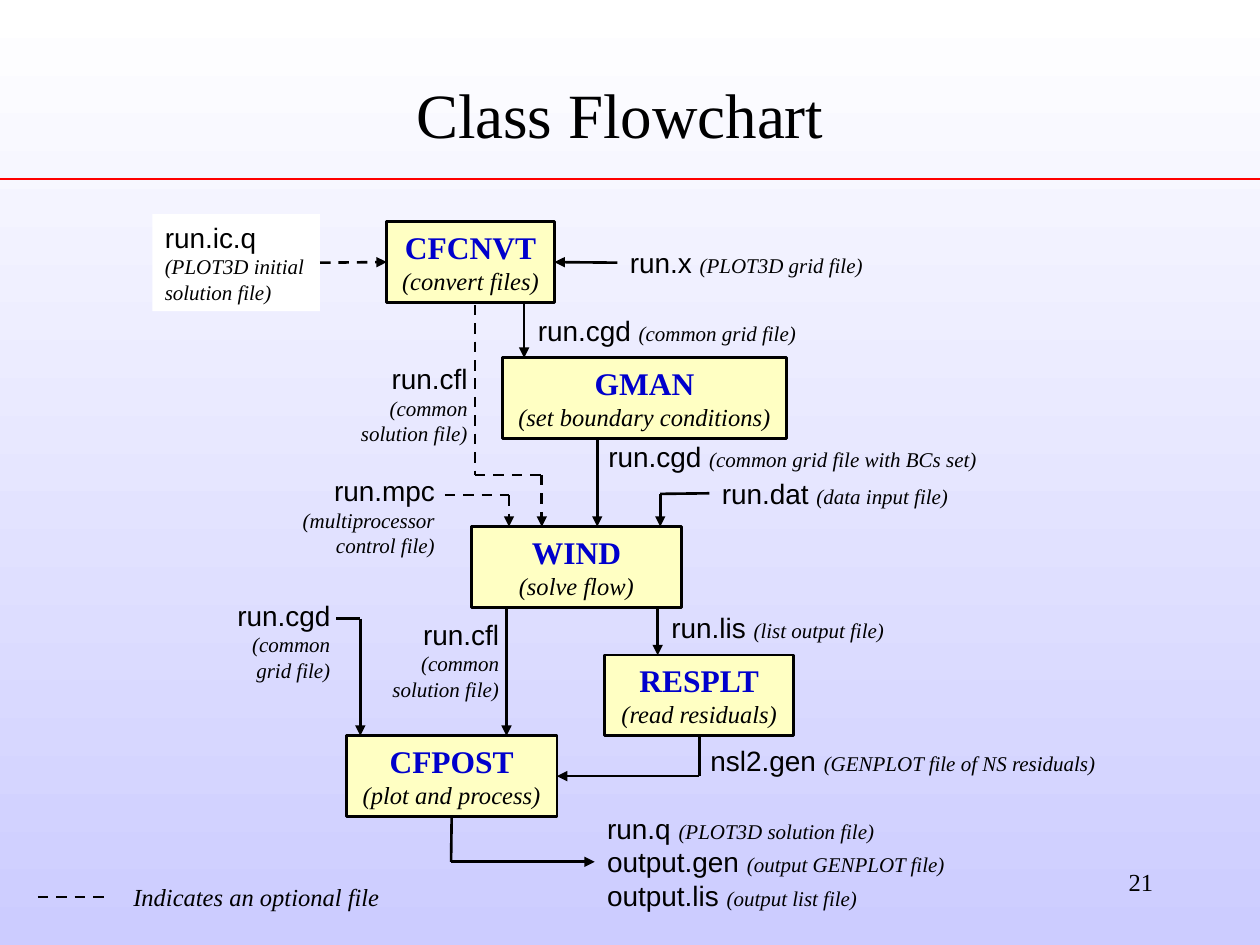
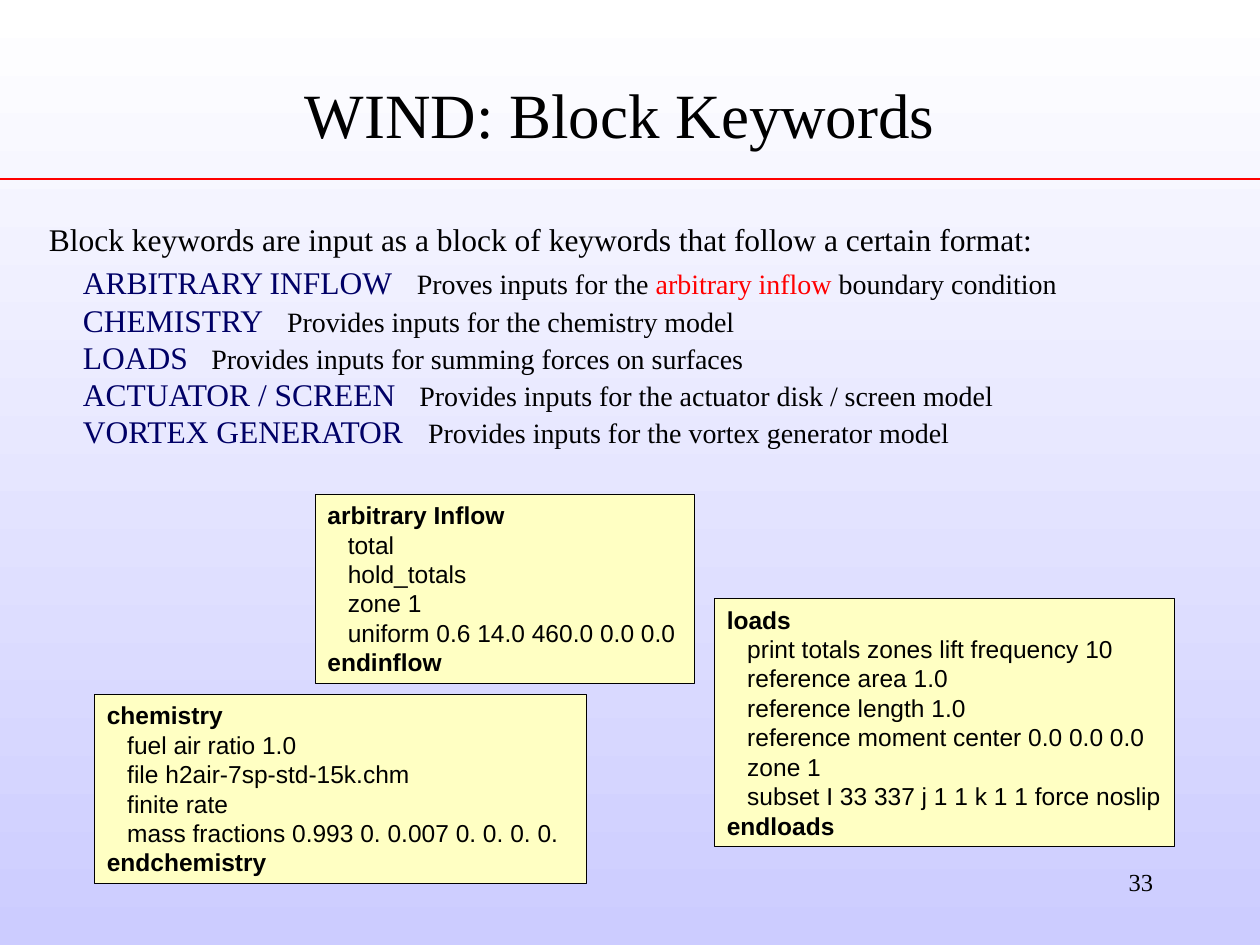
from pptx import Presentation
from pptx.dml.color import RGBColor as RGB
from pptx.enum.dml import MSO_LINE_DASH_STYLE as Dash
from pptx.enum.shapes import MSO_CONNECTOR as Conn, MSO_SHAPE as Shape
from pptx.enum.text import MSO_ANCHOR as Anchor, PP_ALIGN as Align
from pptx.oxml.ns import qn
from pptx.oxml.xmlchemy import OxmlElement as Tag
from pptx.util import Inches, Pt

SERIF, SANS = "Times New Roman", "Arial"
BLACK, WHITE, RED = "000000", "FFFFFF", "FF0000"
BLUE, NAVY, CREAM, LILAC = "0000CC", "000066", "FFFFC3", "CCCCFF"
TOP, LEFT, BOTTOM, RIGHT = range(4)


def color(code):
    """Turn a hex string into a colour."""
    return RGB.from_string(code)


def style(item, size, face=SERIF, tint=BLACK, bold=False, slant=False):
    """Format the font of a run or paragraph."""
    font = item.font
    font.name, font.size = face, Pt(size)
    font.bold, font.italic = bold, slant
    font.color.rgb = color(tint)


def add_run(para, text, *look, **more):
    """Append one formatted run to a paragraph."""
    run = para.add_run()
    run.text = text
    style(run, *look, **more)


def add_text(slide, area, lines, align=Align.LEFT):
    """Add a wrapping text box with one plain paragraph per line."""
    box = slide.shapes.add_textbox(*map(Inches, area))
    fill_text(box, lines, align)
    return box


def fill_text(box, lines, align):
    """Fill a shape with aligned paragraphs."""
    frame = box.text_frame
    frame.word_wrap = True
    frame.vertical_anchor = Anchor.TOP
    frame.text = "\n".join(lines)
    for para in frame.paragraphs:
        para.alignment = align


def add_box(slide, area, lines, align, weight):
    """Add a cream rectangle with a black outline."""
    box = slide.shapes.add_shape(Shape.RECTANGLE, *map(Inches, area))
    box.shadow.inherit = False
    box.fill.solid()
    box.fill.fore_color.rgb = color(CREAM)
    box.line.color.rgb = color(BLACK)
    box.line.width = Pt(weight)
    fill_text(box, lines, align)
    return box


def add_step(slide, area, name, note):
    """Add a program of the flowchart."""
    box = add_box(slide, area, [name, note], Align.CENTER, 1.5)
    head, foot = box.text_frame.paragraphs
    style(head.runs[0], 18, tint=BLUE, bold=True)
    style(foot.runs[0], 14, slant=True)
    return box


def add_label(slide, area, files, align=Align.LEFT):
    """Add file names, each with a note in italics."""
    box = add_text(slide, area, [name + " " for name, _ in files], align)
    for para, (_, note) in zip(box.text_frame.paragraphs, files):
        style(para.runs[0], 16, SANS)
        add_run(para, note, 12, slant=True)
    return box


def add_code(slide, area, code):
    """Add a code listing whose first and last lines are bold."""
    box = add_box(slide, area, code, Align.LEFT, 0.25)
    paras = box.text_frame.paragraphs
    for i, para in enumerate(paras):
        style(para.runs[0], 14, SANS, bold=i in (0, len(paras) - 1))


def find_spot(stop):
    """Give the place of a point or of a (shape, side) pair."""
    if isinstance(stop[0], (int, float)):
        return tuple(map(Inches, stop))
    box, side = stop
    x = {LEFT: 0, RIGHT: box.width}.get(side, box.width // 2)
    y = {TOP: 0, BOTTOM: box.height}.get(side, box.height // 2)
    return box.left + x, box.top + y


def add_line(slide, start, end, tint=BLACK, dash=False, arrow=False):
    """Draw one straight line, joined to shapes where given."""
    ends = find_spot(start) + find_spot(end)
    line = slide.shapes.add_connector(Conn.STRAIGHT, *ends)
    for stop, join in ((start, line.begin_connect), (end, line.end_connect)):
        if not isinstance(stop[0], (int, float)):
            join(*stop)
    line.line.color.rgb = color(tint)
    line.line.width = Pt(1.5)
    if dash:
        line.line.dash_style = Dash.DASH
    props = line.element.spPr
    if arrow:
        tip = Tag("a:tailEnd")
        tip.set("type", "triangle")
        props.find(qn("a:ln")).append(tip)
    props.append(Tag("a:effectLst"))


def add_route(slide, *stops, dash=False):
    """Draw a chain of lines with an arrow at its end."""
    last = len(stops) - 2
    for i, (start, end) in enumerate(zip(stops, stops[1:])):
        add_line(slide, start, end, dash=dash, arrow=i == last)


def add_slide(deck, title, number):
    """Add a slide with its title, red rule and number."""
    slide = deck.slides.add_slide(deck.slide_layouts[5])
    add_line(slide, (0, 1.42), (10, 1.42), RED)
    head = slide.shapes.title
    head.left, head.top, head.width, head.height = map(
        Inches, (0.67, 0.5, 8.5, 0.75))
    fill_text(head, [title], Align.CENTER)
    head.text_frame.vertical_anchor = Anchor.BOTTOM
    style(head.text_frame.paragraphs[0].runs[0], 36)
    foot = add_text(slide, (7.17, 6.83, 2.08, 0.5), [number], Align.RIGHT)
    style(foot.text_frame.paragraphs[0].runs[0], 14)
    return slide


def set_back(deck):
    """Give the master a white to lilac gradient."""
    fill = deck.slide_master.background.fill
    fill.gradient()
    fill.gradient_angle = 270
    for stop, tint in zip(fill.gradient_stops, (WHITE, LILAC)):
        stop.color.rgb = color(tint)


def draw_flow(deck):
    """Build the flowchart slide."""
    slide = add_slide(deck, "Class Flowchart", "21")
    steps = [
        (3.07, 1.76, 1.33, "CFCNVT", "(convert files)"),
        (3.99, 2.84, 2.25, "GMAN", "(set boundary conditions)"),
        (3.74, 4.18, 1.67, "WIND", "(solve flow)"),
        (4.8, 5.2, 1.5, "RESPLT", "(read residuals)"),
        (2.75, 5.84, 1.67, "CFPOST", "(plot and process)"),
    ]
    step = {name: add_step(slide, (x, y, w, 0.64), name, note)
            for x, y, w, name, note in steps}

    first = add_label(slide, (1.21, 1.7, 1.33, 0.77),
                      [("run.ic.q", "(PLOT3D initial solution file)")])
    first.fill.solid()
    first.fill.fore_color.rgb = color(WHITE)
    wide = [
        (4.9, 1.9, 2.17, "run.x", "(PLOT3D grid file)"),
        (4.17, 2.44, 2.42, "run.cgd", "(common grid file)"),
        (4.73, 3.44, 3.5, "run.cgd", "(common grid file with BCs set)"),
        (5.63, 3.73, 2.42, "run.dat", "(data input file)"),
        (5.23, 4.8, 2, "run.lis", "(list output file)"),
        (5.54, 5.85, 3.33, "nsl2.gen", "(GENPLOT file of NS residuals)"),
    ]
    grid, _, _, data, _, _ = [
        add_label(slide, (x, y, w, 0.37), [(name, note)])
        for x, y, w, name, note in wide]
    tall = [
        (2.66, 2.82, 1.15, "run.cfl", "(common solution file)"),
        (2.26, 3.71, 1.29, "run.mpc", "(multiprocessor control file)"),
        (1.63, 4.7, 1.09, "run.cgd", "(common grid file)"),
        (2.91, 4.85, 1.15, "run.cfl", "(common solution file)"),
    ]
    for x, y, w, name, note in tall:
        add_label(slide, (x, y, w, 0.77), [(name, note)], Align.RIGHT)
    output = add_label(slide, (4.72, 6.39, 3.9, 0.9), [
        ("run.q", "(PLOT3D solution file)"),
        ("output.gen", "(output GENPLOT file)"),
        ("output.lis", "(output list file)")])

    conv, read, post = step["CFCNVT"], step["RESPLT"], step["CFPOST"]
    add_route(slide, (first, RIGHT), (conv, LEFT), dash=True)
    add_route(slide, (grid, LEFT), (conv, RIGHT))
    add_route(slide, (4.16, 2.4), (4.16, 2.84))
    add_route(slide, (3.77, 2.42), (3.77, 3.77), (4.3, 3.77), (4.3, 4.18),
              dash=True)
    add_route(slide, (3.53, 3.93), (4.04, 3.93), (4.04, 4.18), dash=True)
    add_route(slide, (4.74, 3.48), (4.74, 4.18))
    add_route(slide, (data, LEFT), (5.24, 3.92), (5.24, 4.18))
    add_route(slide, (5.22, 4.82), (5.22, 5.2))
    add_route(slide, (4.02, 4.82), (4.02, 5.84))
    add_route(slide, (2.67, 4.91), (2.86, 4.91), (2.86, 5.84))
    add_route(slide, (read, BOTTOM), (5.55, 6.16), (post, RIGHT))
    add_route(slide, (post, BOTTOM), (3.58, 6.84), (output, LEFT))

    add_line(slide, (0.3, 7.12), (0.88, 7.12), dash=True)
    key = add_text(slide, (0.96, 6.95, 2.16, 0.34),
                   ["Indicates an optional file"])
    style(key.text_frame.paragraphs[0].runs[0], 14, slant=True)


def set_tab(para, place):
    """Give a paragraph one left tab stop."""
    tabs, tab = Tag("a:tabLst"), Tag("a:tab")
    tab.set("pos", str(Inches(place)))
    tab.set("algn", "l")
    tabs.append(tab)
    para._p.get_or_add_pPr().append(tabs)


def draw_words(deck):
    """Build the block keyword slide."""
    slide = add_slide(deck, "WIND: Block Keywords", "33")
    intro = add_text(slide, (0.29, 1.7, 8.48, 0.6), [
        "Block keywords are input as a block of keywords "
        "that follow a certain format:"])
    style(intro.text_frame.paragraphs[0].runs[0], 18)

    words = [
        ("ARBITRARY INFLOW", 2.65, [("Proves inputs for the ", BLACK),
                                    ("arbitrary inflow", RED),
                                    (" boundary condition", BLACK)]),
        ("CHEMISTRY", 1.62,
         [("Provides inputs for the chemistry model", BLACK)]),
        ("LOADS", 1.02,
         [("Provides inputs for summing forces on surfaces", BLACK)]),
        ("ACTUATOR / SCREEN", 2.67,
         [("Provides inputs for the actuator disk / screen model", BLACK)]),
        ("VORTEX GENERATOR", 2.74,
         [("Provides inputs for the vortex generator model", BLACK)]),
    ]
    box = add_text(slide, (0.56, 2.1, 8.77, 1.63),
                   [word + "\t" for word, _, _ in words])
    for i, (_, place, parts) in enumerate(words):
        para = box.text_frame.paragraphs[i]
        para.line_spacing = 0.8
        para.space_before = Pt(4 if i else 0)
        set_tab(para, place)
        style(para.runs[0], 18, tint=NAVY)
        for text, tint in parts:
            add_run(para, text, 16, tint=tint)

    add_code(slide, (2.5, 3.92, 3.01, 1.5), [
        "arbitrary Inflow", "   total", "   hold_totals", "   zone 1",
        "   uniform 0.6 14.0 460.0 0.0 0.0", "endinflow"])
    add_code(slide, (5.67, 4.75, 3.65, 1.97), [
        "loads", "   print totals zones lift frequency 10",
        "   reference area 1.0", "   reference length 1.0",
        "   reference moment center 0.0 0.0 0.0", "   zone 1",
        "   subset I 33 337 j 1 1 k 1 1 force noslip", "endloads"])
    add_code(slide, (0.75, 5.51, 3.9, 1.5), [
        "chemistry", "   fuel air ratio 1.0",
        "   file h2air-7sp-std-15k.chm", "   finite rate",
        "   mass fractions 0.993 0. 0.007 0. 0. 0. 0.", "endchemistry"])


def main():
    """Build and save both slides."""
    deck = Presentation()
    deck.slide_width, deck.slide_height = Inches(10), Inches(7.5)
    set_back(deck)
    draw_flow(deck)
    draw_words(deck)
    deck.save("out.pptx")


if __name__ == "__main__":
    main()
